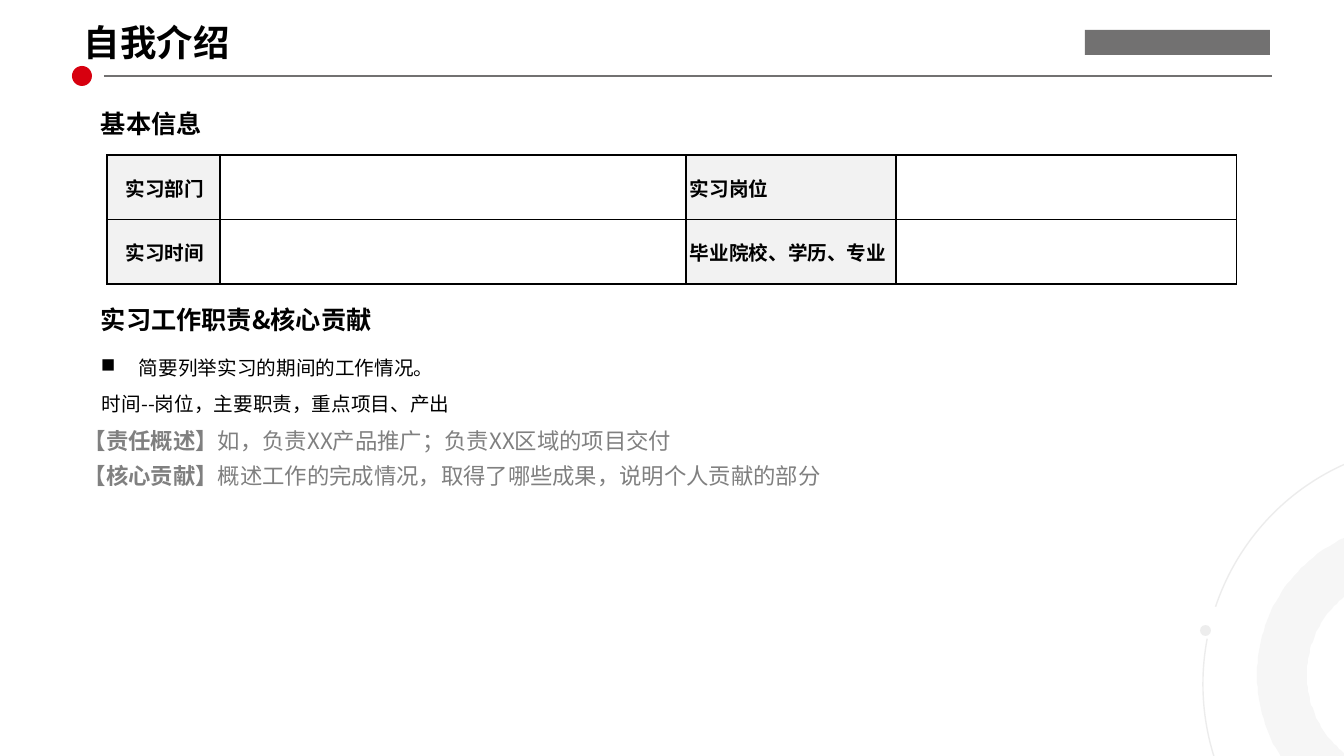
import math

import pptx
import pptx.util
import pptx.dml.color
import pptx.oxml
import pptx.oxml.ns
import pptx.enum.shapes
import pptx.enum.text
from lxml import etree

PX = 914400 / 100.8
FONT = "Noto Sans CJK SC"
COLORS = {"black": "000000", "grey": "727171", "red": "D7000F",
          "label": "F2F2F2", "hint": "808080"}
SHAPE = pptx.enum.shapes.MSO_SHAPE
ALIGN = pptx.enum.text.PP_ALIGN
ANCHOR = pptx.enum.text.MSO_ANCHOR
qn = pptx.oxml.ns.qn


def px(*lengths):
    return [round(length * PX) for length in lengths]


def add_run(paragraph, text, size, color, bold, latin=FONT):
    run = paragraph.add_run()
    run.text = text
    formats = {"size": pptx.util.Pt(size), "bold": bold, "name": latin}
    for attribute, value in formats.items():
        setattr(run.font, attribute, value)
    run.font.color.rgb = pptx.dml.color.RGBColor.from_string(COLORS[color])
    east_asian = etree.SubElement(run.font._element, qn("a:ea"))
    east_asian.set("typeface", FONT)


presentation = pptx.Presentation()
presentation.slide_width, presentation.slide_height = px(1344, 756)
slide = presentation.slides.add_slide(presentation.slide_layouts[6])
shapes = slide.shapes
rgb = pptx.dml.color.RGBColor.from_string

# Corner ring, cut at the slide edges
ring_x, ring_y = 1408, 675
outline = []
for radius, angles in ((151, range(245, 146, -2)), (101, range(129, 232, 2))):
    for angle in angles:
        turn = math.radians(angle)
        outline.append((ring_x + radius * math.cos(turn),
                        ring_y + radius * math.sin(turn)))
    if radius == 151:
        outline.append((1344, 756))
builder = shapes.build_freeform(*outline[0], scale=PX)
builder.add_line_segments(outline[1:], close=True)
ring = builder.convert_to_shape()

# Dots and the logo's plain stand-in
orbit_dot = shapes.add_shape(SHAPE.OVAL, *px(1200, 625, 11, 11))
title_dot = shapes.add_shape(SHAPE.OVAL, *px(72, 66, 20, 20))
brand_block = shapes.add_shape(SHAPE.RECTANGLE, *px(1085, 30, 185, 25))
for part, color in ((ring, "grey"), (orbit_dot, "grey"),
                    (title_dot, "red"), (brand_block, "grey")):
    part.shadow.inherit = False
    part.fill.solid()
    part.fill.fore_color.rgb = rgb(COLORS[color])
    part.line.fill.background()

# Orbit arcs, with angles in degrees
orbits = []
for start, end in ((199, 247), (161, 191)):
    orbit = shapes.add_shape(SHAPE.ARC, *px(1203, 444, 474, 480))
    orbit.adjustments[0] = start * 0.6
    orbit.adjustments[1] = end * 0.6
    orbit.shadow.inherit = False
    orbit.fill.background()
    orbit.line.color.rgb = rgb(COLORS["grey"])
    orbit.line.width = pptx.util.Pt(1)
    orbits.append(orbit)

# Faint opacity of the corner decoration, in percent
for part, opacity in ((ring, 6), (orbit_dot, 12), (orbits[0], 12), (orbits[1], 12)):
    for tint in part._element.spPr.iter(qn("a:srgbClr")):
        etree.SubElement(tint, qn("a:alpha")).set("val", str(opacity * 1000))

# Title rule
title_rule = shapes.add_connector(pptx.enum.shapes.MSO_CONNECTOR.STRAIGHT,
                                  *px(104, 76, 1272, 76))
title_rule.line.color.rgb = rgb(COLORS["grey"])
title_rule.line.width = pptx.util.Pt(1)
etree.SubElement(title_rule._element.spPr, qn("a:effectLst"))

# Title, headings and body: box, wrap, paragraph format, paragraphs of (text, bold)
heading = {"size": 18, "color": "black"}
body = {"size": 14, "color": "black", "alignment": ALIGN.JUSTIFY,
        "line_spacing": 1.2, "space_before": pptx.util.Pt(3)}
texts = [
    ((74, 15, 1198, 60), True,
     {"size": 26, "color": "black", "latin": "Arial", "line_spacing": 0.9},
     [[("自我介绍", True)]]),
    ((91, 103, 122, 40), False, heading, [[("基本信息", True)]]),
    ((91, 299, 304, 40), True, heading, [[("实习工作职责&核心贡献", True)]]),
    ((91, 346, 860, 36), True, {**body, "bullet": "■"},
     [[("简要列举实习的期间的工作情况。", False)]]),
    ((92, 382, 860, 36), True, body,
     [[("时间--岗位，主要职责，重点项目、产出", False)]]),
    ((74, 422, 1175, 73), True,
     {"size": 16, "color": "hint", "space_after": pptx.util.Pt(6)},
     [[("【责任概述】", True), ("如，负责XX产品推广；负责XX区域的项目交付", False)],
      [("【核心贡献】", True),
       ("概述工作的完成情况，取得了哪些成果，说明个人贡献的部分", False)]]),
]
for box, wrap, formats, paragraphs in texts:
    frame = shapes.add_textbox(*px(*box)).text_frame
    frame.word_wrap = wrap
    if formats["size"] == 26:
        frame.vertical_anchor = ANCHOR.MIDDLE
    else:
        frame.auto_size = pptx.enum.text.MSO_AUTO_SIZE.SHAPE_TO_FIT_TEXT
    for index, runs in enumerate(paragraphs):
        paragraph = frame.add_paragraph() if index else frame.paragraphs[0]
        for attribute in ("alignment", "line_spacing", "space_before", "space_after"):
            if attribute in formats:
                setattr(paragraph, attribute, formats[attribute])
        if "bullet" in formats:
            properties = paragraph._p.get_or_add_pPr()
            indent = px(38)[0]
            properties.set("marL", str(indent))
            properties.set("indent", str(-indent))
            etree.SubElement(properties, qn("a:buChar")).set("char", formats["bullet"])
        for text, bold in runs:
            add_run(paragraph, text, formats["size"], formats["color"], bold,
                    formats.get("latin", FONT))

# Basic information table
rows = [["实习部门", "", "实习岗位", ""],
        ["实习时间", "", "毕业院校、学历、专业", ""]]
info = shapes.add_table(2, 4, *px(107, 155, 1130, 129)).table
info.first_row = info.horz_banding = False
for column, width in zip(info.columns, px(113, 466, 210, 341)):
    column.width = width
margins = dict(zip(("margin_left", "margin_top", "margin_right", "margin_bottom"),
                   px(4, 1, 1, 0)))
for row_index, row in enumerate(rows):
    for column_index, label in enumerate(row):
        cell = info.cell(row_index, column_index)
        cell.fill.background()
        if label:
            cell.fill.solid()
            cell.fill.fore_color.rgb = rgb(COLORS["label"])
            cell.vertical_anchor = ANCHOR.MIDDLE
            for attribute, value in margins.items():
                setattr(cell, attribute, value)
            paragraph = cell.text_frame.paragraphs[0]
            paragraph.alignment = ALIGN.LEFT if column_index else ALIGN.CENTER
            add_run(paragraph, label, 14, "black", True)
        cell_properties = cell._tc.get_or_add_tcPr()
        for position, side in enumerate(("a:lnL", "a:lnR", "a:lnT", "a:lnB")):
            border = etree.Element(qn(side), w="12700")
            paint = etree.SubElement(border, qn("a:solidFill"))
            etree.SubElement(paint, qn("a:srgbClr")).set("val", COLORS["black"])
            cell_properties.insert(position, border)

presentation.save("out.pptx")
